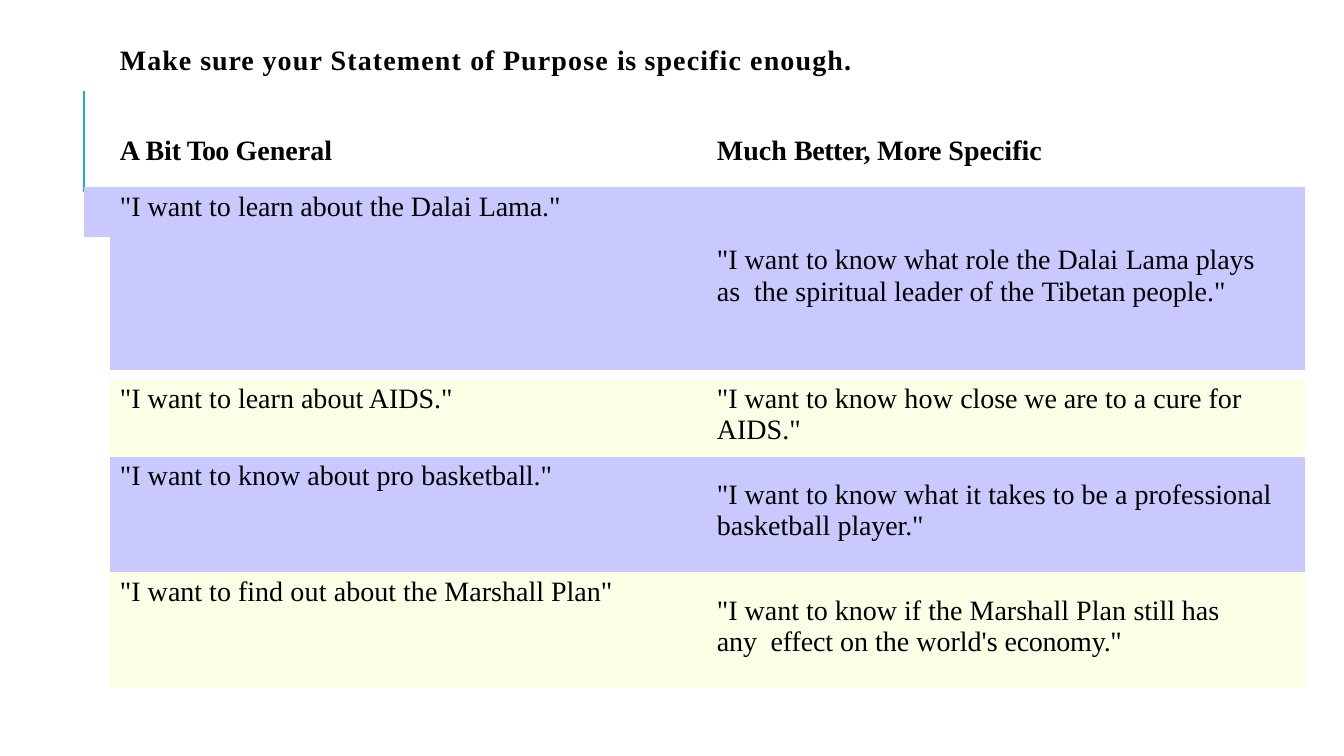
from lxml import etree
from pptx import Presentation
from pptx import util as u
from pptx.dml.color import RGBColor
from pptx.enum import shapes, text
from pptx.oxml.ns import qn

COLORS = {"ink": "000000", "accent": "1CACE3", "lilac": "C9C9FF", "cream": "FAFFE6"}
FONT, SIZE = "Times New Roman", 20
NO_GRID_STYLE = "{2D5ABB26-0587-4C30-8999-92F81FD0307C}"

LEFT = 0.83          # left edge of the rule and the upper table
TEXT_LEFT = 1.19     # left edge of the general statements
SPECIFIC_LEFT = 7.11 # left edge of the specific statements
RIGHT = 12.94        # right edge of both tables
SPLIT = 5.22         # inner column edge of the upper table
LOWER_LEFT, LOWER_SPLIT = 1.09, 6.58

deck = Presentation()
deck.slide_width, deck.slide_height = u.Inches(13.33), u.Inches(7.5)
page = deck.slides.add_slide(deck.slide_layouts[6])


def write(frame, paragraphs, indent=0, right=0, bold=False, line=None):
    """Write paragraphs, each a list of (words, letter spacing in points)."""
    frame.word_wrap = True
    for index, spans in enumerate(paragraphs):
        para = frame.paragraphs[0] if index == 0 else frame.add_paragraph()
        para.alignment = text.PP_ALIGN.LEFT
        para.line_spacing = line
        margins = para._p.get_or_add_pPr()
        margins.set("marL", str(u.Inches(indent)))
        margins.set("marR", str(u.Inches(right)))
        for words, spacing in spans:
            span = para.add_run()
            span.text = words
            font = span.font
            font.name, font.size, font.bold = FONT, u.Pt(SIZE), bold
            font.color.rgb = RGBColor.from_string(COLORS["ink"])
            span._r.get_or_add_rPr().set("spc", str(round(spacing * 100)))


def add_grid(edges, top, heights, fills):
    """Add a plain table with the given column edges, row heights and cell fills."""
    frame = page.shapes.add_table(
        len(heights), len(edges) - 1, u.Inches(edges[0]), u.Inches(top),
        u.Inches(edges[-1] - edges[0]), u.Inches(sum(heights)))
    grid = frame.table
    grid.first_row = grid.horz_banding = False
    grid._tbl.tblPr.find(qn("a:tableStyleId")).text = NO_GRID_STYLE
    for column, start, end in zip(grid.columns, edges, edges[1:]):
        column.width = u.Inches(end - start)
    for row, height, colors in zip(grid.rows, heights, fills):
        row.height = u.Inches(height)
        for cell, color in zip(row.cells, colors):
            cell.margin_left = cell.margin_right = 0
            cell.margin_top = cell.margin_bottom = 0
            if color:
                cell.fill.solid()
                cell.fill.fore_color.rgb = RGBColor.from_string(COLORS[color])
            else:
                cell.fill.background()
    return grid


# Accent rule at the left
rule = page.shapes.add_connector(
    shapes.MSO_CONNECTOR.STRAIGHT,
    u.Inches(LEFT), u.Inches(1.9), u.Inches(LEFT), u.Inches(0.9))
rule.line.color.rgb = RGBColor.from_string(COLORS["accent"])
rule.line.width = u.Pt(1.56)
etree.SubElement(rule._element.spPr, qn("a:effectLst"))

# Upper table: headings and the first pair of statements
upper = add_grid(
    [LEFT, LOWER_LEFT, SPLIT, RIGHT], 1.35, [0.51, 0.49, 1.32],
    [[None] * 3, ["lilac"] * 3, [None, "lilac", "lilac"]])
upper.cell(1, 0).merge(upper.cell(1, 2))
headings = [
    (1, TEXT_LEFT - LOWER_LEFT,
     [("A ", 0), ("Bit", -0.1), (" Too ", -0.6), ("General", 0)]),
    (2, SPECIFIC_LEFT - SPLIT,
     [("Much ", 0), ("Better, ", -0.3), ("More ", -0.1), ("Specific", 0)]),
]
for column, indent, spans in headings:
    write(upper.cell(0, column).text_frame, [spans], indent, bold=True, line=u.Pt(21.9))

general = upper.cell(1, 0)
general.margin_top = u.Inches(0.04)
write(general.text_frame,
      [[('"I want to ', 0), ("learn ", -0.1), ("about the Dalai ", 0), ('Lama."', -0.1)]],
      TEXT_LEFT - LEFT)
specific = upper.cell(2, 2)
specific.margin_top = u.Inches(0.08)
write(specific.text_frame,
      [[('"I want to know what role the Dalai ', 0), ("Lama plays ", -0.1),
        ("as  the spiritual leader of the ", 0), ("Tibetan ", -0.1), ('people."', 0)]],
      SPECIFIC_LEFT - SPLIT, right=0.38)

# Title
title = page.shapes.add_textbox(u.Inches(1.18), u.Inches(0.41), u.Inches(7.6), u.Inches(0.36))
box = title.text_frame
box.margin_left = box.margin_right = box.margin_bottom = 0
box.margin_top = u.Inches(0.01)
write(box, [[("Make ", 0.7), ("sure ", 0.6), ("your Statement ", 0.8), ("of ", 0.5),
             ("Purpose ", 0.8), ("is ", 0.4), ("specific enough.", 0.8)]],
      indent=0.01, bold=True)

# Lower table: general statement, specific statement, top inset of the latter
pairs = [
    ([[('"I want to learn about AIDS."', 0)]],
     [[('"I want to know ', 0), ("how ", 0.1), ("close ", -0.1), ("we are to a cure for", 0)],
      [('AIDS."', 0)]], 0.04),
    ([[('"I want to know about pro ', 0), ('basketball."', -0.1)]],
     [[('"I want to know what it takes to be a professional', 0)],
      [("basketball ", 0), ('player."', -0.1)]], 0.23),
    ([[('"I want to find ', 0), ("out ", 0.1), ('about the Marshall Plan"', 0)]],
     [[('"I want to know if the Marshall Plan ', 0), ("still ", -0.1), ("has ", 0),
       ("any  effect ", -0.1), ("on the world's", 0), (' economy."', -0.2)]], 0.23),
]
lower = add_grid(
    [LOWER_LEFT, LOWER_SPLIT, RIGHT], 3.76, [0.77, 1.15, 1.15],
    [["cream"] * 2, ["lilac"] * 2, ["cream"] * 2])
for row, (left_text, right_text, inset) in enumerate(pairs):
    general, specific = lower.cell(row, 0), lower.cell(row, 1)
    general.margin_top, specific.margin_top = u.Inches(0.04), u.Inches(inset)
    write(general.text_frame, left_text, TEXT_LEFT - LOWER_LEFT)
    # The last statement breaks earlier than the others
    write(specific.text_frame, right_text, SPECIFIC_LEFT - LOWER_SPLIT,
          right=0.6 if row == 2 else 0)

deck.save("out.pptx")
